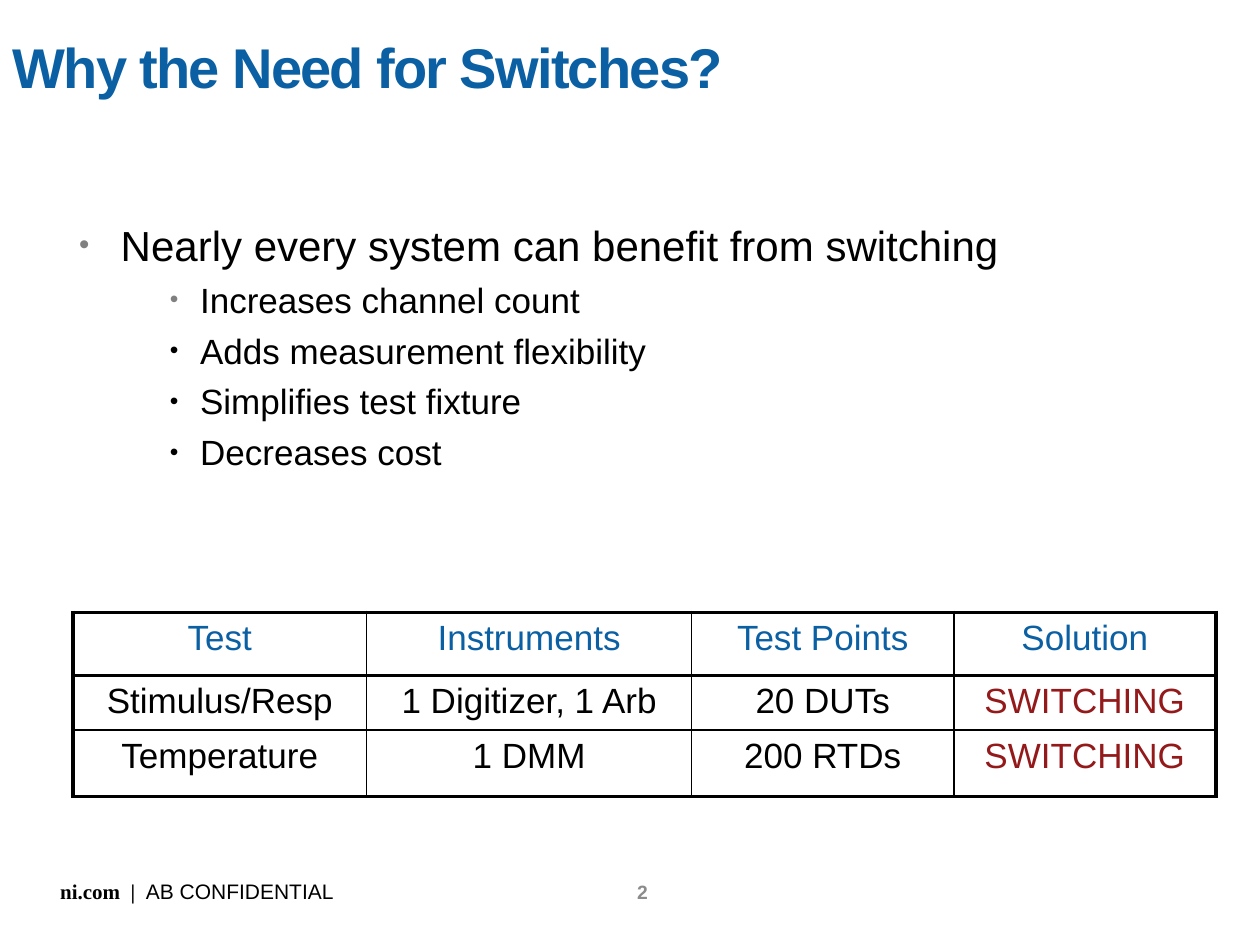
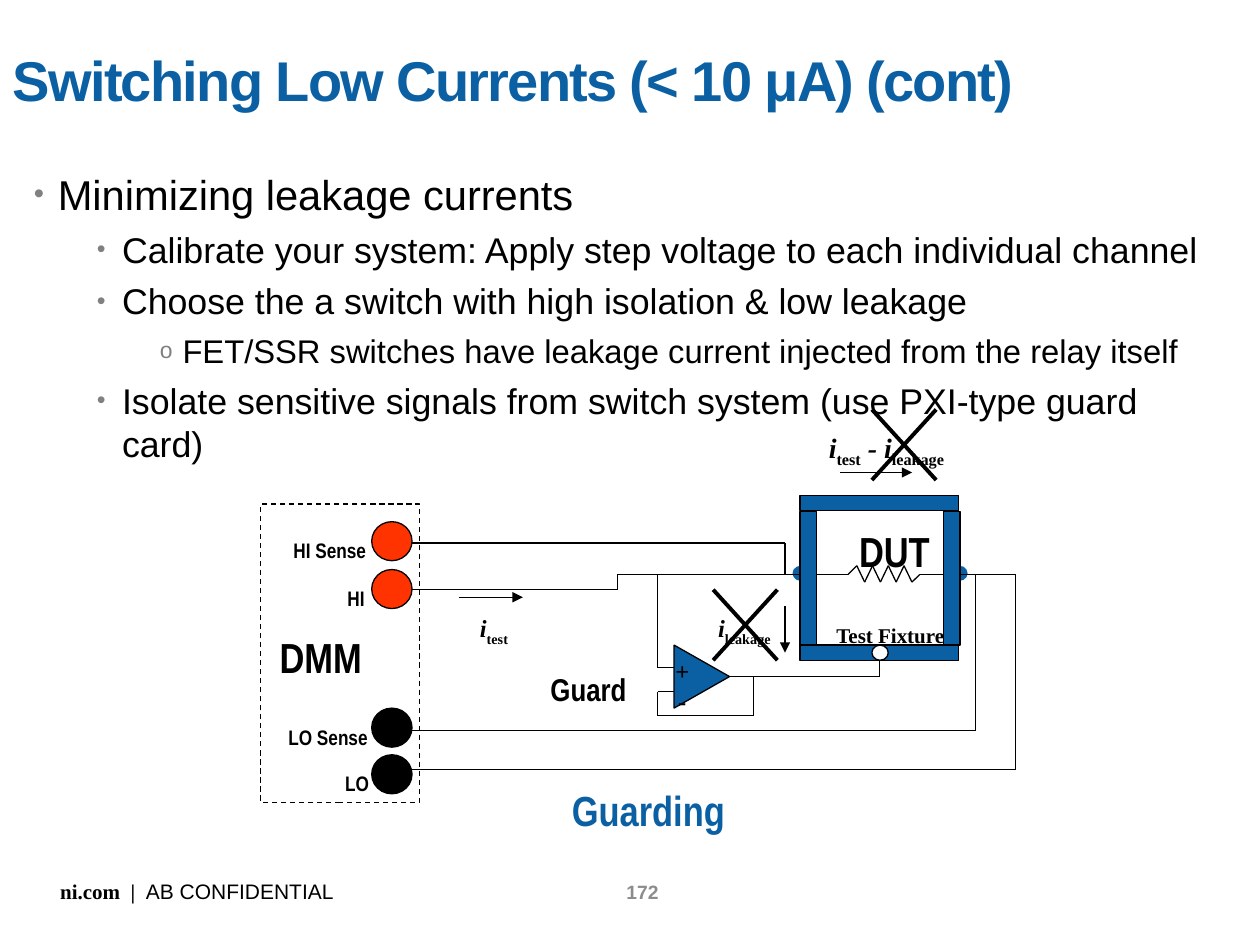
import itertools

import pptx
import pptx.dml.color
import pptx.enum.dml
import pptx.enum.shapes
import pptx.enum.text
import pptx.oxml
import pptx.oxml.ns
import pptx.util

Inches = pptx.util.Inches
Pt = pptx.util.Pt
RGBColor = pptx.dml.color.RGBColor
Shape = pptx.enum.shapes.MSO_SHAPE
Align = pptx.enum.text.PP_ALIGN
Anchor = pptx.enum.text.MSO_ANCHOR

BLUE = RGBColor(0x0A, 0x60, 0xA3)
BLACK = RGBColor(0, 0, 0)
WHITE = RGBColor(0xFF, 0xFF, 0xFF)
GRAY = RGBColor(0x80, 0x80, 0x80)
NUMBER_GRAY = RGBColor(0x8C, 0x8C, 0x8C)
DARK_RED = RGBColor(0x93, 0x19, 0x1A)
ORANGE_RED = RGBColor(0xFF, 0x33, 0x00)

SANS, NARROW, SERIF = "Arial", "Arial Narrow", "Times New Roman"
THIN, MEDIUM, THICK = 0.75, 1, 2.25


def xml(tag, **attributes):
    element = pptx.oxml.parse_xml(f"<a:{tag} {pptx.oxml.ns.nsdecls('a')}/>")
    for name, value in attributes.items():
        element.set(name, str(value))
    return element


def style(run, font, size, color=BLACK, bold=False, italic=False):
    run.font.name = font
    run.font.size = Pt(size)
    run.font.color.rgb = color
    run.font.bold = bold
    run.font.italic = italic


class Deck:
    def __init__(self):
        self.presentation = pptx.Presentation()
        self.presentation.slide_width = Inches(10)
        self.presentation.slide_height = Inches(7.5)
        self.slide = None

    def add_slide(self, title, title_width, title_height, number):
        layout = self.presentation.slide_layouts[5]
        self.slide = self.presentation.slides.add_slide(layout)
        shape = self.slide.shapes.title
        shape.left = shape.top = Inches(0)
        shape.width, shape.height = Inches(title_width), Inches(title_height)
        frame = shape.text_frame
        frame.text = title
        frame.auto_size = pptx.enum.text.MSO_AUTO_SIZE.NONE
        frame.vertical_anchor = Anchor.MIDDLE
        frame.paragraphs[0].alignment = Align.LEFT
        run = frame.paragraphs[0].runs[0]
        style(run, SANS, 32, BLUE, bold=True)
        run._r.get_or_add_rPr().set("spc", "-100")
        self.footer(number)

    def footer(self, number):
        frame = self.text_box(4.81, 6.94, 0.58, 0.28, wrap=True)
        frame.vertical_anchor = Anchor.MIDDLE
        frame.text = str(number)
        frame.paragraphs[0].alignment = Align.CENTER
        style(frame.paragraphs[0].runs[0], SANS, 11, NUMBER_GRAY, bold=True)
        paragraph = self.text_box(0.38, 6.92, 2.37, 0.3).paragraphs[0]
        for text, font in (("ni.com  |  ", SERIF), ("AB CONFIDENTIAL", SANS)):
            run = paragraph.add_run()
            run.text = text
            style(run, font, 12, bold=font == SERIF)

    def text_box(self, left, top, width, height, wrap=False):
        box = self.slide.shapes.add_textbox(
            Inches(left), Inches(top), Inches(width), Inches(height))
        box.text_frame.word_wrap = wrap
        return box.text_frame

    def label(self, text, left, top, width, height, size, font=NARROW, color=BLACK):
        frame = self.text_box(left, top, width, height)
        frame.text = text
        for paragraph in frame.paragraphs:
            style(paragraph.runs[0], font, size, color, bold=True)
        return frame

    def current_symbol(self, pairs, left, top, width, height, size):
        """Write italic symbols, each followed by a subscript."""
        paragraph = self.text_box(left, top, width, height).paragraphs[0]
        for symbol, subscript in pairs:
            for text, lowered in ((symbol, False), (subscript, True)):
                run = paragraph.add_run()
                run.text = text
                style(run, SERIF, size, bold=True, italic=not lowered)
                if lowered:
                    run._r.get_or_add_rPr().set("baseline", "-25000")

    def bullets(self, left, top, width, height, levels, items):
        """levels: (indent, hanging, size, mark); items: (level, text, bullet color)."""
        frame = self.text_box(left, top, width, height, wrap=True)
        frame.text = "\n".join(text for _, text, _ in items)
        for paragraph, (level, _, color) in zip(frame.paragraphs, items):
            indent, hanging, size, mark = levels[level]
            paragraph.level = level
            properties = paragraph._p.get_or_add_pPr()
            properties.set("marL", str(Inches(indent)))
            properties.set("indent", str(-Inches(hanging)))
            bullet_color = xml("buClr")
            bullet_color.append(xml("srgbClr", val=color))
            properties.extend([bullet_color, xml("buSzPct", val=70000),
                               xml("buFont", typeface=SANS), xml("buChar", char=mark)])
            style(paragraph.runs[0], SANS, size)
        for paragraph in frame.paragraphs[1:]:
            paragraph.space_before = Pt(5)

    def shape(self, kind, left, top, width, height, fill=None, line=BLACK):
        shape = self.slide.shapes.add_shape(
            kind, Inches(left), Inches(top), Inches(width), Inches(height))
        shape.shadow.inherit = False
        if fill is None:
            shape.fill.background()
        else:
            shape.fill.solid()
            shape.fill.fore_color.rgb = fill
        if line is None:
            shape.line.fill.background()
        else:
            shape.line.color.rgb = line
            shape.line.width = Pt(THIN)
        return shape

    def wire(self, *points, weight=THIN, arrow=False):
        for start, end in itertools.pairwise(points):
            connector = self.slide.shapes.add_connector(
                pptx.enum.shapes.MSO_CONNECTOR.STRAIGHT,
                *(Inches(length) for length in start + end))
            connector.line.color.rgb = BLACK
            connector.line.width = Pt(weight)
            if arrow:
                connector.line._get_or_add_ln().append(xml("tailEnd", type="triangle"))
            connector._element.spPr.append(xml("effectLst"))

    def cross_out(self, left, top, width=0.51, height=0.56):
        right, bottom = left + width, top + height
        self.wire((left, top), (right, bottom), weight=THICK)
        self.wire((right, top), (left, bottom), weight=THICK)

    def table(self, left, top, column_widths, row_heights, rows):
        table = self.slide.shapes.add_table(
            len(rows), len(column_widths), Inches(left), Inches(top),
            Inches(sum(column_widths)), Inches(sum(row_heights))).table
        table.first_row = table.horz_banding = False
        for column, width in zip(table.columns, column_widths):
            column.width = Inches(width)
        for row, height in zip(table.rows, row_heights):
            row.height = Inches(height)
        last_row, last_column = len(rows) - 1, len(column_widths) - 1
        for i, row in enumerate(rows):
            for j, text in enumerate(row):
                cell = table.cell(i, j)
                cell.text = text
                cell.text_frame.paragraphs[0].alignment = Align.CENTER
                color = BLUE if i == 0 else DARK_RED if j == last_column else BLACK
                style(cell.text_frame.paragraphs[0].runs[0], SANS, 20, color)
                self.cell_borders(cell, lnL=j == 0, lnR=j == last_column,
                                  lnT=i <= 1, lnB=i in (0, last_row))
                cell.fill.background()

    def cell_borders(self, cell, **heavy_sides):
        for side, heavy in heavy_sides.items():
            border = xml(side, w=Pt(THICK if heavy else MEDIUM))
            fill = xml("solidFill")
            fill.append(xml("srgbClr", val=BLACK))
            border.append(fill)
            cell._tc.get_or_add_tcPr().append(border)


def need_for_switches(deck):
    deck.add_slide("Why the Need for Switches?", 8.93, 1.05, 2)
    deck.bullets(0.42, 1.69, 9.33, 2.92,
                 [(0.44, 0.33, 24, "•"), (1.07, 0.24, 20, "•")],
                 [(0, "Nearly every system can benefit from switching", GRAY),
                  (1, "Increases channel count", GRAY),
                  (1, "Adds measurement flexibility", BLACK),
                  (1, "Simplifies test fixture", BLACK),
                  (1, "Decreases cost", BLACK)])
    deck.table(0.58, 4.86, [2.33, 2.58, 2.08, 2.08], [0.5, 0.43, 0.53],
               [["Test", "Instruments", "Test Points", "Solution"],
                ["Stimulus/Resp", "1 Digitizer, 1 Arb", "20 DUTs", "SWITCHING"],
                ["Temperature", "1 DMM", "200 RTDs", "SWITCHING"]])


def draw_meter(deck):
    outline = deck.shape(Shape.RECTANGLE, 2.07, 4, 1.26, 2.37)
    outline.line.dash_style = pptx.enum.dml.MSO_LINE.DASH
    for top, color in ((4.14, ORANGE_RED), (4.52, ORANGE_RED),
                       (5.62, BLACK), (5.99, BLACK)):
        deck.shape(Shape.OVAL, 2.95, top, 0.32, 0.31, color)
    for text, left, top, width in (("HI Sense", 2.23, 4.22, 0.79), ("HI", 2.66, 4.6, 0.34),
                                   ("LO Sense", 2.19, 5.7, 0.84), ("LO", 2.64, 6.07, 0.39)):
        deck.label(text, left, top, width, 0.3, 12)
    deck.label("DMM", 2.12, 4.96, 0.85, 0.5, 24)


def draw_fixture(deck):
    middle = 4.56
    zigzag = [(6.8 + 0.0625 * i, 4.62 if i % 2 else 4.49) for i in range(8)]
    deck.wire((6.42, middle), (6.73, middle), *zigzag, (7.3, middle), (7.55, middle))
    deck.label("DUT", 6.72, 4.12, 0.76, 0.5, 24)
    for left in (6.29, 7.55):
        deck.shape(Shape.OVAL, left, 4.49, 0.13, 0.12, BLUE, line=None)
    deck.label("Test Fixture", 6.54, 4.89, 1.07, 0.3, 12, SERIF)
    for left in (6.35, 7.49):
        deck.shape(Shape.RECTANGLE, left, 4.06, 0.13, 1.06, BLUE)
    for top in (3.93, 5.12):
        deck.shape(Shape.RECTANGLE, 6.35, top, 1.26, 0.12, BLUE)
    deck.shape(Shape.OVAL, 6.92, 5.12, 0.13, 0.12, WHITE)


def draw_guard(deck):
    amplifier = deck.shape(Shape.ISOSCELES_TRIANGLE, 5.32, 5.15, 0.5, 0.44, BLUE)
    amplifier.rotation = 90
    signs = deck.label("+\n-", 5.26, 5.16, 0.31, 0.57, 14, SERIF)
    for paragraph in signs.paragraphs:
        paragraph.alignment = Align.CENTER
    deck.label("Guard", 4.27, 5.27, 0.81, 0.4, 18)
    deck.wire((5.79, 5.37), (6.98, 5.37), (6.98, 5.24))
    deck.wire((5.98, 5.37), (5.98, 5.68), (5.22, 5.68), (5.22, 5.49), (5.35, 5.49))
    deck.wire((5.35, 5.3), (5.22, 5.3), (5.22, 4.56))


def draw_test_leads(deck):
    deck.wire((3.27, 4.31), (6.23, 4.31), (6.23, 4.56))
    deck.wire((3.27, 4.68), (4.9, 4.68), (4.9, 4.56), (6.35, 4.56))
    deck.wire((3.27, 5.8), (7.74, 5.8), (7.74, 4.56))
    deck.wire((3.27, 6.11), (8.06, 6.11), (8.06, 4.56), (7.61, 4.56))


def draw_currents(deck):
    for start, end in (((3.64, 4.74), (4.15, 4.74)), ((6.23, 4.81), (6.23, 5.18)),
                       ((6.67, 3.75), (7.24, 3.75))):
        deck.wire(start, end, arrow=True)
    deck.current_symbol([("i", "test")], 3.71, 4.82, 0.45, 0.34, 14)
    deck.current_symbol([("i", "leakage")], 5.6, 4.82, 0.68, 0.34, 14)
    deck.current_symbol([("i", "test"), (" - i", "leakage")], 6.48, 3.37, 1.22, 0.37, 16)
    deck.cross_out(5.66, 4.68)
    deck.cross_out(6.92, 3.25)


def low_currents(deck):
    deck.add_slide("Switching Low Currents (< 10 μA) (cont)", 8.95, 1.25, 172)
    items = [
        (0, "Minimizing leakage currents"),
        (1, "Calibrate your system: Apply step voltage to each individual channel"),
        (1, "Choose the a switch with high isolation & low leakage"),
        (2, "FET/SSR switches have leakage current injected from the relay itself"),
        (1, "Isolate sensitive signals from switch system (use PXI-type guard card)")]
    deck.bullets(0.17, 1.29, 9.61, 2.32,
                 [(0.19, 0.19, 23.8, "•"), (0.7, 0.2, 20.4, "•"), (1.18, 0.18, 18.7, "o")],
                 [(level, text, GRAY) for level, text in items])
    draw_meter(deck)
    draw_fixture(deck)
    draw_test_leads(deck)
    draw_guard(deck)
    draw_currents(deck)
    deck.label("Guarding", 4.44, 6.18, 1.42, 0.5, 24, color=BLUE)


def main():
    deck = Deck()
    need_for_switches(deck)
    low_currents(deck)
    deck.presentation.save("out.pptx")


if __name__ == "__main__":
    main()
